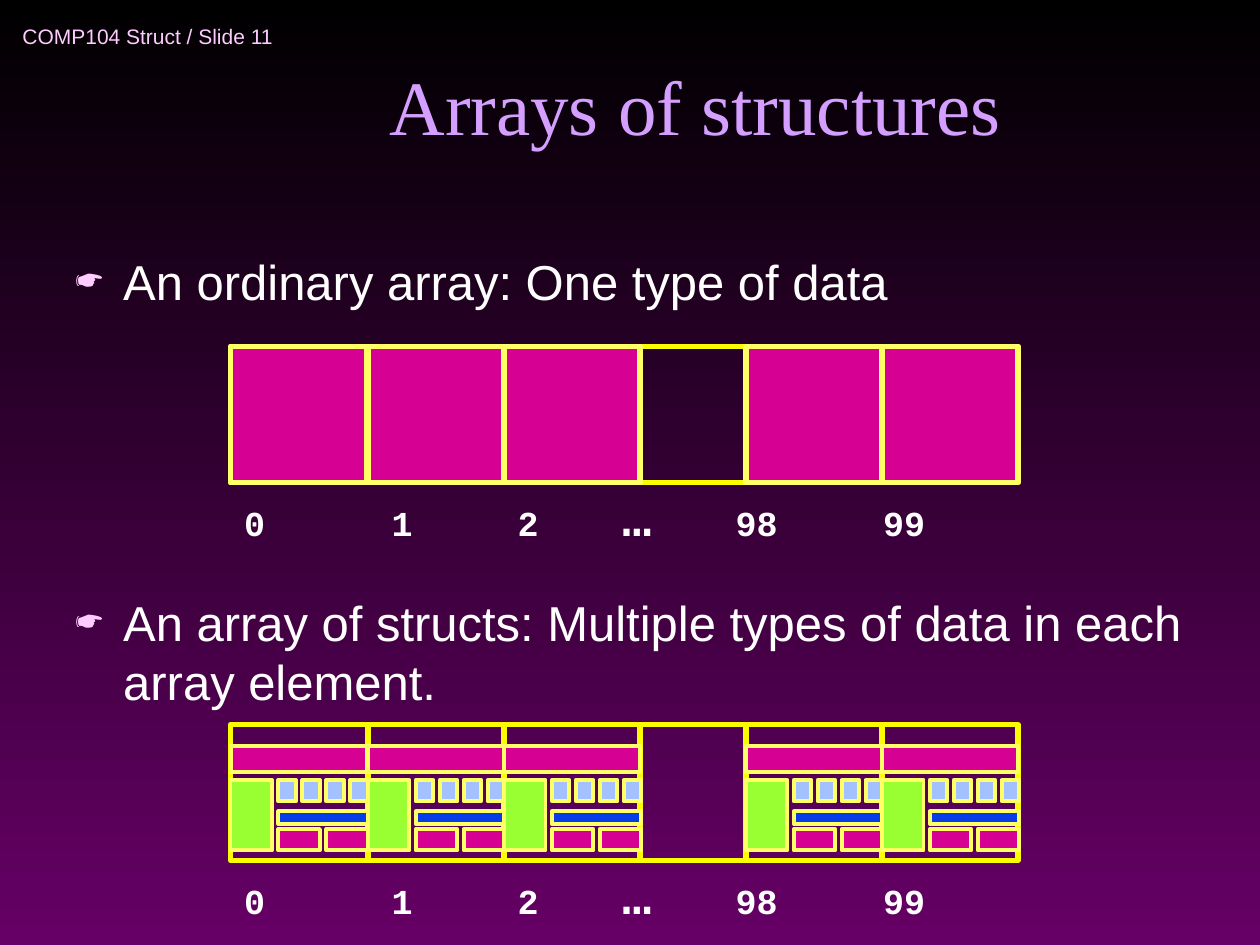
from typing import NamedTuple

from lxml import etree
from pptx import Presentation
from pptx import util as u
from pptx.dml.color import RGBColor
from pptx.enum import shapes, text
from pptx.oxml import ns

BLACK = RGBColor(0x00, 0x00, 0x00)
PURPLE = RGBColor(0x66, 0x00, 0x66)
PINK = RGBColor(0xFF, 0xCC, 0xFF)
LILAC = RGBColor(0xD4, 0x9F, 0xFF)
WHITE = RGBColor(0xFF, 0xFF, 0xFF)
YELLOW = RGBColor(0xFA, 0xFD, 0x00)
PALE_YELLOW = RGBColor(0xFF, 0xFF, 0x66)
MAGENTA = RGBColor(0xD6, 0x00, 0x93)
GREEN = RGBColor(0x99, 0xFF, 0x33)
LIGHT_BLUE = RGBColor(0xA2, 0xC1, 0xFE)
BLUE = RGBColor(0x06, 0x3D, 0xE8)

ROW_LEFT, ROW_WIDTH, CELL = 1.83, 6.25, 1.08
CELL_LEFTS = (1.83, 2.92, 4, 5.92, 7)
DIVIDERS = (2.92, 4, 5.08, 7, 5.92)
INDEX_STOPS = (1.17, 2.17, 3, 3.9, 5.07)


class Part(NamedTuple):
    left: float
    top: float
    width: float
    height: float
    fill: RGBColor


ORDINARY_ELEMENT = [Part(0, 0, CELL, CELL, MAGENTA)]
STRUCT_ELEMENT = [
    Part(0, 0.17, CELL, 0.21, MAGENTA),
    Part(0, 0.44, 0.33, 0.56, GREEN),
    *(Part(0.38 + 0.19 * i, 0.44, 0.14, 0.17, LIGHT_BLUE) for i in range(4)),
    Part(0.38, 0.69, 0.71, 0.1, BLUE),
    *(Part(0.38 + 0.38 * i, 0.83, 0.33, 0.17, MAGENTA) for i in range(2)),
]


class ArrayRow(NamedTuple):
    top: float
    element: list[Part]
    outline: float


ARRAY_ROWS = [ArrayRow(2.75, ORDINARY_ELEMENT, 3), ArrayRow(5.75, STRUCT_ELEMENT, 2.25)]


def add_text(parent, left: float, top: float, width: float, height: float,
             paragraphs: list[list[tuple[str, float]]], *, font: str, color: RGBColor,
             bold: bool = False, align=text.PP_ALIGN.LEFT, anchor=text.MSO_ANCHOR.TOP,
             wrap: bool = True, bullet: str = "", gap: float = 0, first_spacing: float = 1,
             stops: tuple[float, ...] = ()) -> None:
    """Add a text box whose paragraphs are lists of (wording, size) runs."""
    frame = parent.add_textbox(*map(u.Inches, (left, top, width, height))).text_frame
    frame.word_wrap = wrap
    frame.vertical_anchor = anchor
    for number, runs in enumerate(paragraphs):
        paragraph = frame.paragraphs[0] if number == 0 else frame.add_paragraph()
        paragraph.alignment = align
        if number:
            paragraph.space_before = u.Pt(gap)
        else:
            paragraph.line_spacing = first_spacing
        if bullet:
            add_bullet(paragraph, bullet)
        if stops:
            add_tab_stops(paragraph, stops)
        for wording, size in runs:
            run = paragraph.add_run()
            run.text = wording
            run.font.size = u.Pt(size)
            run.font.name = font
            run.font.bold = bold
            run.font.color.rgb = color


def add_bullet(paragraph, symbol: str) -> None:
    """Give a paragraph a hanging pink bullet."""
    properties = paragraph._p.get_or_add_pPr()
    properties.set("marL", str(u.Inches(0.38)))
    properties.set("indent", str(u.Inches(-0.38)))
    tint = etree.SubElement(properties, ns.qn("a:buClr"))
    etree.SubElement(tint, ns.qn("a:srgbClr"), val=str(PINK))
    etree.SubElement(properties, ns.qn("a:buSzPct"), val="75000")
    etree.SubElement(properties, ns.qn("a:buChar"), char=symbol)


def add_tab_stops(paragraph, stops: tuple[float, ...]) -> None:
    """Give a paragraph left tab stops."""
    tabs = etree.SubElement(paragraph._p.get_or_add_pPr(), ns.qn("a:tabLst"))
    for stop in stops:
        etree.SubElement(tabs, ns.qn("a:tab"), pos=str(u.Inches(stop)), algn="l")


def add_box(parent, part: Part, left: float, top: float, line: RGBColor, weight: float) -> None:
    """Draw one rectangle of an array, offset from the given corner."""
    box = parent.add_shape(shapes.MSO_SHAPE.RECTANGLE, u.Inches(left + part.left),
                           u.Inches(top + part.top), u.Inches(part.width), u.Inches(part.height))
    box.shadow.inherit = False
    if part.fill is None:
        box.fill.background()
    else:
        box.fill.solid()
        box.fill.fore_color.rgb = part.fill
    box.line.color.rgb = line
    box.line.width = u.Pt(weight)


def add_divider(parent, x: float, top: float) -> None:
    """Draw a vertical line between two elements."""
    divider = parent.add_connector(shapes.MSO_CONNECTOR.STRAIGHT, u.Inches(x), u.Inches(top),
                                   u.Inches(x), u.Inches(top + CELL))
    divider.line.color.rgb = YELLOW
    divider.line.width = u.Pt(3)
    etree.SubElement(divider._element.spPr, ns.qn("a:effectLst"))


def add_array(slide, row: ArrayRow) -> None:
    """Draw an array with its frame, indices and elements as one group."""
    group = slide.shapes.add_group_shape().shapes
    add_box(group, Part(0, 0, ROW_WIDTH, CELL, None), ROW_LEFT, row.top, YELLOW, 3)
    for x in DIVIDERS:
        add_divider(group, x, row.top)
    add_text(group, 1.84, row.top + 1.07, 6.36, 0.5,
             [[("0\t1\t2\t", 20), ("…", 28), ("\t98\t99", 20)]],
             font="Courier New", color=WHITE, bold=True, stops=INDEX_STOPS)
    for left in CELL_LEFTS:
        for part in row.element:
            add_box(group, part, left, row.top, PALE_YELLOW, row.outline)


def main() -> None:
    """Build the slide and save it."""
    deck = Presentation()
    deck.slide_width, deck.slide_height = u.Inches(10), u.Inches(7.5)
    slide = deck.slides.add_slide(deck.slide_layouts[6])
    backdrop = slide.background.fill
    backdrop.gradient()
    backdrop.gradient_angle = 270
    for stop, color, position in zip(backdrop.gradient_stops, (BLACK, PURPLE), (0, 1)):
        stop.color.rgb = color
        stop.position = position

    add_text(slide.shapes, 0.08, 0.08, 2.75, 0.42, [[("COMP104 Struct / Slide 11", 12)]],
             font="Arial", color=PINK, anchor=text.MSO_ANCHOR.MIDDLE, wrap=False)
    add_text(slide.shapes, 1.26, 0, 8.52, 1.25, [[("Arrays of structures", 44)]],
             font="Times New Roman", color=LILAC, align=text.PP_ALIGN.CENTER,
             anchor=text.MSO_ANCHOR.BOTTOM)
    add_text(slide.shapes, 0.5, 2, 9.17, 5.25,
             [[("An ordinary array: One type of data", 28)],
              [("An array of structs: Multiple types of data in each array element.", 28)]],
             font="Arial", color=WHITE, bullet="☛", gap=161, first_spacing=0.9)
    for row in ARRAY_ROWS:
        add_array(slide, row)
    deck.save("out.pptx")


if __name__ == "__main__":
    main()
